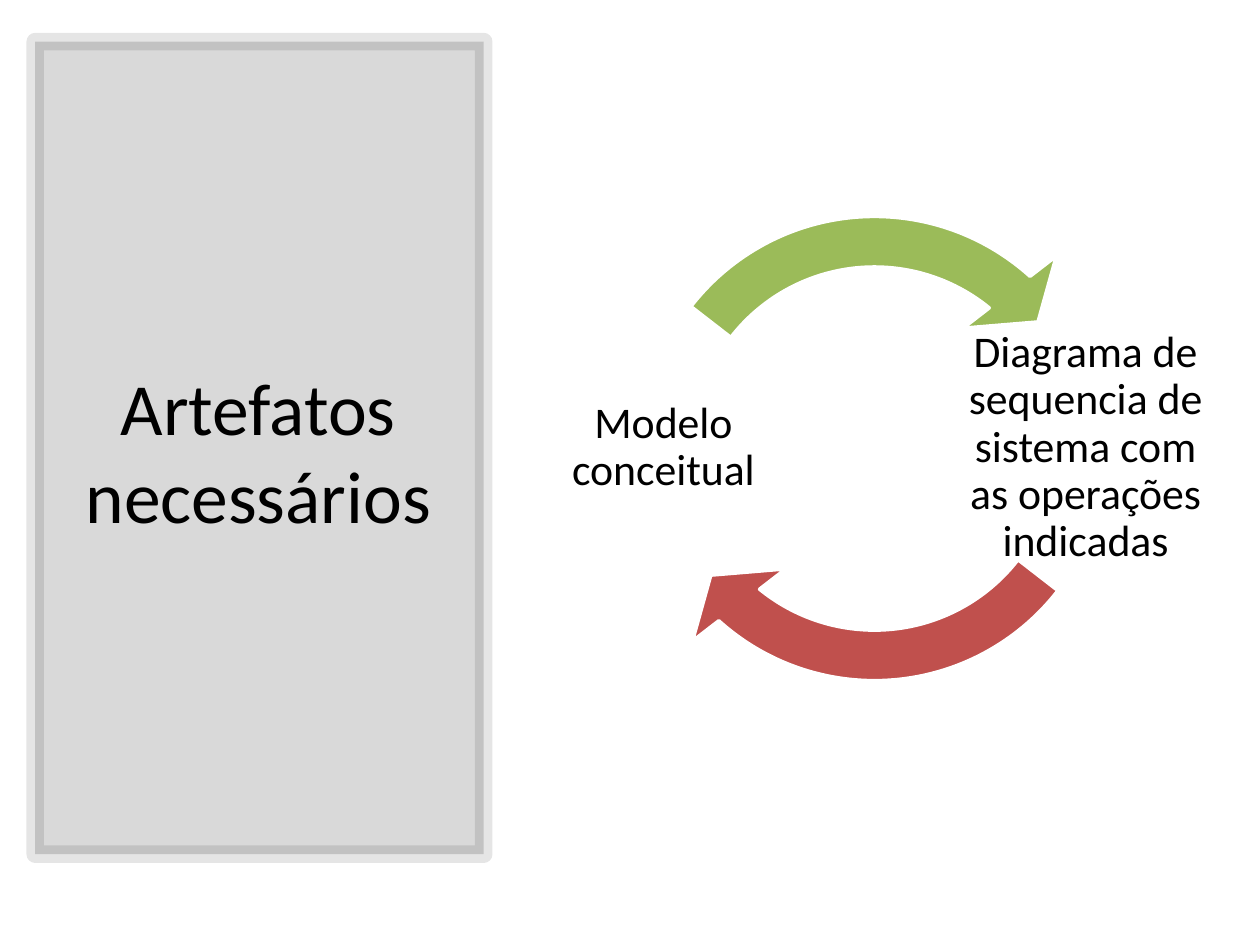
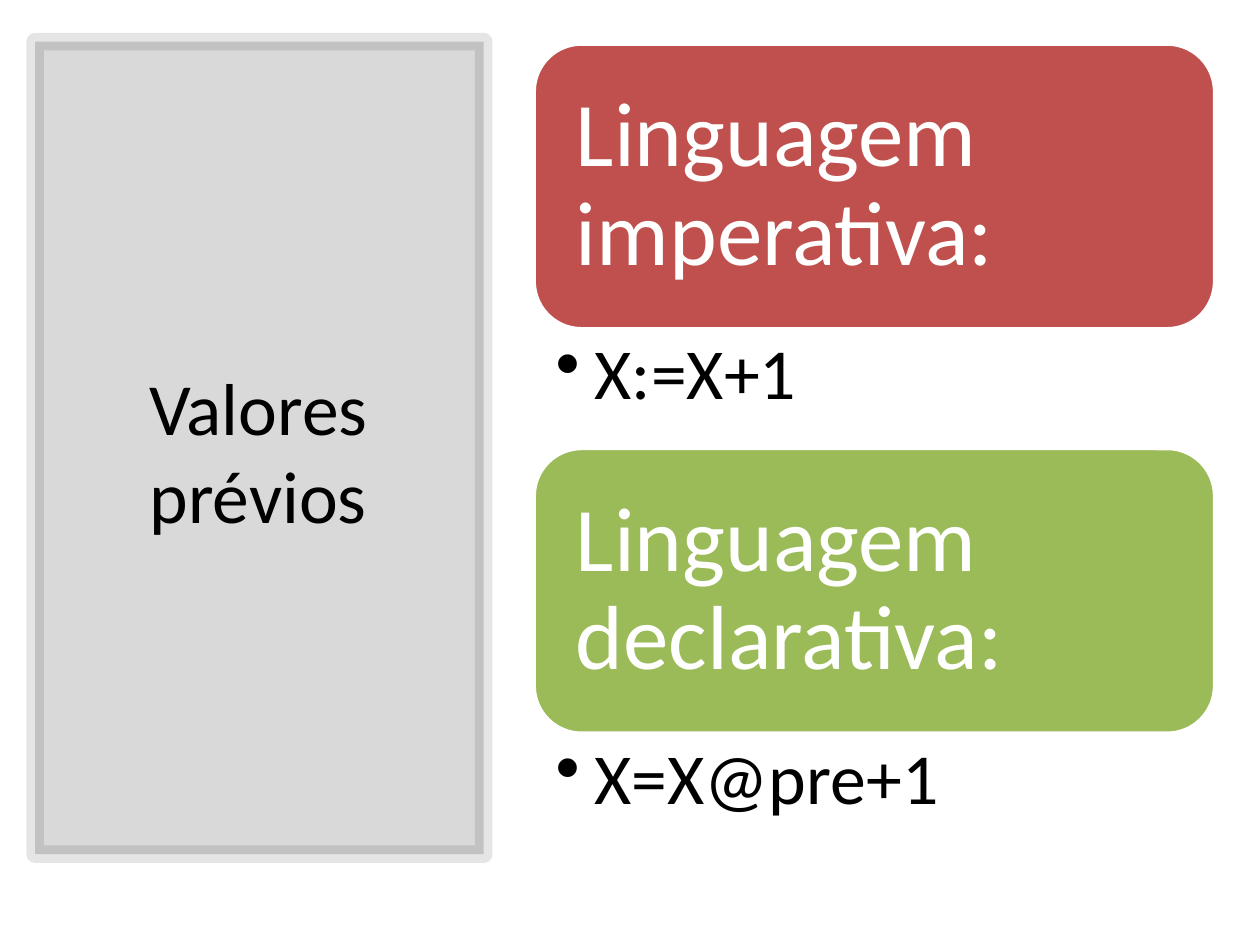
from dataclasses import dataclass

from lxml import etree
from pptx import Presentation
from pptx import util as u
from pptx.dml import color as dml
from pptx.enum import shapes, text
from pptx.oxml import ns

PX = 9144  # EMU per px, 100 px to the inch
FONT = "Calibri"
BLACK, WHITE, RED, GREEN = "000000", "FFFFFF", "C0504D", "9BBB59"
TITLE_ONLY = 5

Box = tuple[int, int, int, int]

# Shared layout
PANEL: Box = (28, 33, 356, 645)
TITLE: Box = (49, 70, 312, 575)
CONTENT_LEFT, CONTENT_WIDTH = 424, 540

# Cycle: two labels facing each other, two arrows half a turn apart
LABEL_TOP, LABEL_SIDE = 253, 205
CYCLE: Box = (483, 145, 422, 422)
HALF_TURN = 108  # 180 degrees in adjustment units

# Language blocks: a coloured heading with an example below it
BLOCK_TOP, BLOCK_STEP = 35, 321
HEADING_HEIGHT, EXAMPLE_HEIGHT = 226, 94


@dataclass(frozen=True)
class CycleStep:
    label: str
    label_left: int
    arrow_color: str
    turn: int


@dataclass(frozen=True)
class Language:
    heading: str
    example: str
    color: str


STEPS = (
    CycleStep("Diagrama de sequencia de sistema com as operações indicadas",
              CONTENT_LEFT + CONTENT_WIDTH - LABEL_SIDE, RED, 0),
    CycleStep("Modelo conceitual", CONTENT_LEFT, GREEN, HALF_TURN),
)
LANGUAGES = (
    Language("Linguagem imperativa:", "X:=X+1", RED),
    Language("Linguagem declarativa:", "X=X@pre+1", GREEN),
)


def emu(box: Box) -> list[int]:
    return [length * PX for length in box]


def paint(color_format, hex_color: str, opacity: int = 100) -> None:
    """Set a solid fill or line fill, optionally translucent."""
    color_format.solid()
    color_format.fore_color.rgb = dml.RGBColor.from_string(hex_color)
    if opacity < 100:
        for color in color_format._xPr.iter(ns.qn("a:srgbClr")):
            if color.getparent().getparent() is color_format._xPr:
                etree.SubElement(color, ns.qn("a:alpha"), val=str(opacity * 1000))


def write(shape, content: str, *, size: int, color: str = BLACK,
          align=text.PP_ALIGN.CENTER, anchor=text.MSO_ANCHOR.MIDDLE,
          insets: Box = (10, 5, 10, 5), spacing: float = 0.9, bullet_indent: int = 0) -> None:
    frame = shape.text_frame
    frame.text = content
    frame.word_wrap = True
    frame.auto_size = text.MSO_AUTO_SIZE.NONE
    frame.vertical_anchor = anchor
    (frame.margin_left, frame.margin_top,
     frame.margin_right, frame.margin_bottom) = emu(insets)
    paragraph = frame.paragraphs[0]
    paragraph.alignment = align
    paragraph.line_spacing = spacing
    font = paragraph.runs[0].font
    font.name, font.size = FONT, u.Pt(size)
    font.color.rgb = dml.RGBColor.from_string(color)
    if bullet_indent:
        properties = paragraph._p.get_or_add_pPr()
        properties.set("marL", str(bullet_indent * PX))
        properties.set("indent", str(-bullet_indent * PX))
        etree.SubElement(properties, ns.qn("a:buChar"), char="•")


def add_shape(slide, kind, box: Box, fill: str, line: str = WHITE, line_width: int = 2,
              fill_opacity: int = 100, line_opacity: int = 100):
    shape = slide.shapes.add_shape(kind, *emu(box))
    shape.shadow.inherit = False
    paint(shape.fill, fill, fill_opacity)
    shape.line.width = u.Pt(line_width)
    paint(shape.line.fill, line, line_opacity)
    return shape


def add_titled_slide(presentation, title: str):
    """Add a slide with the translucent side panel behind its title."""
    slide = presentation.slides.add_slide(presentation.slide_layouts[TITLE_ONLY])
    panel = add_shape(slide, shapes.MSO_SHAPE.RECTANGLE, PANEL, BLACK, BLACK, 10, 15, 10)
    placeholder = slide.shapes.title
    placeholder._element.addprevious(panel._element)
    (placeholder.left, placeholder.top,
     placeholder.width, placeholder.height) = emu(TITLE)
    write(placeholder, title, size=42, spacing=1.0)
    return slide


def add_cycle_step(slide, step: CycleStep) -> None:
    label = slide.shapes.add_textbox(
        *emu((step.label_left, LABEL_TOP, LABEL_SIDE, LABEL_SIDE)))
    write(label, step.label, size=25, insets=(3, 3, 3, 3))
    arrow = add_shape(slide, shapes.MSO_SHAPE.CIRCULAR_ARROW, CYCLE, step.arrow_color)
    settings = (0.095, 6.85, 78.508 + step.turn, 22.643 + step.turn, 0.111)
    for index, value in enumerate(settings):
        arrow.adjustments[index] = value


def add_language(slide, language: Language, top: int) -> None:
    heading = add_shape(slide, shapes.MSO_SHAPE.ROUNDED_RECTANGLE,
                        (CONTENT_LEFT, top, CONTENT_WIDTH, HEADING_HEIGHT), language.color)
    write(heading, language.heading, size=52, color=WHITE,
          align=text.PP_ALIGN.LEFT, insets=(22, 22, 22, 22))
    example = slide.shapes.add_textbox(
        *emu((CONTENT_LEFT, top + HEADING_HEIGHT, CONTENT_WIDTH, EXAMPLE_HEIGHT)))
    write(example, language.example, size=41, align=text.PP_ALIGN.LEFT,
          anchor=text.MSO_ANCHOR.TOP, insets=(17, 7, 40, 7), bullet_indent=31)


def main() -> None:
    presentation = Presentation()
    presentation.slide_width, presentation.slide_height = 1000 * PX, 750 * PX

    # Required artefacts
    slide = add_titled_slide(presentation, "Artefatos necessários")
    for step in STEPS:
        add_cycle_step(slide, step)

    # Previous values
    slide = add_titled_slide(presentation, "Valores prévios")
    for index, language in enumerate(LANGUAGES):
        add_language(slide, language, BLOCK_TOP + index * BLOCK_STEP)

    presentation.save("out.pptx")


if __name__ == "__main__":
    main()
